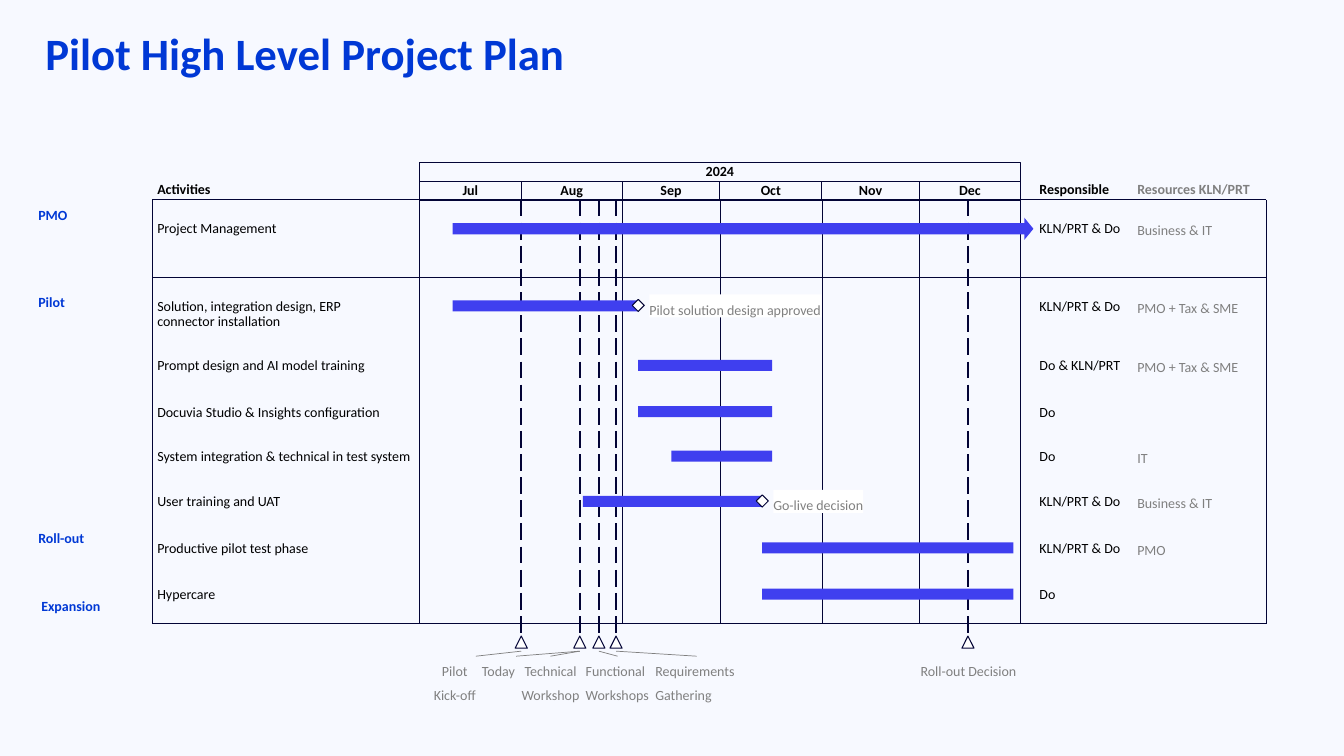
from lxml import etree
from pptx import Presentation
from pptx.dml.color import RGBColor
from pptx.enum.dml import MSO_LINE
from pptx.enum.shapes import MSO_CONNECTOR, MSO_SHAPE
from pptx.enum.text import MSO_ANCHOR, MSO_AUTO_SIZE, PP_ALIGN
from pptx.oxml.ns import qn
from pptx.util import Inches, Pt

RECT, ARROW = MSO_SHAPE.RECTANGLE, MSO_SHAPE.RIGHT_ARROW
DIAMOND, TRIANGLE = MSO_SHAPE.DIAMOND, MSO_SHAPE.ISOSCELES_TRIANGLE
STRAIGHT, DASH = MSO_CONNECTOR.STRAIGHT, MSO_LINE.LONG_DASH
TOP, MIDDLE, BOTTOM = MSO_ANCHOR.TOP, MSO_ANCHOR.MIDDLE, MSO_ANCHOR.BOTTOM
LEFT, CENTER = PP_ALIGN.LEFT, PP_ALIGN.CENTER
FIXED = MSO_AUTO_SIZE.NONE

COLORS = {"back": "F7F9FF", "title": "0038D5", "ink": "030436",
          "bar": "3F3FEF", "text": "000000", "gray": "808080", "white": "FFFFFF"}

MONTHS = ["Jul", "Aug", "Sep", "Oct", "Nov", "Dec"]
EDGES = [4.16, 5.17, 6.17, 7.14, 8.15, 9.12, 10.12]
START, END = 1.51, 12.56
HEAD, FOOT = 1.98, 6.19
COLS = [(1.56, 2.58), (10.31, 0.95), (11.28, 1.25)]
SPLIT = 2.75
MARK = 0.12
BAR = 0.11

ROWS = [
    (2.2, "Project Management", "KLN/PRT & Do", "Business & IT", 4.49, 10.25),
    (2.97, "Solution, integration design, ERP\nconnector installation",
     "KLN/PRT & Do", "PMO + Tax & SME", 4.49, 6.33),
    (3.56, "Prompt design and AI model training", "Do & KLN/PRT",
     "PMO + Tax & SME", 6.33, 7.66),
    (4.02, "Docuvia Studio & Insights configuration", "Do", "", 6.33, 7.66),
    (4.46, "System integration & technical in test system", "Do", "IT", 6.66, 7.66),
    (4.91, "User training and UAT", "KLN/PRT & Do", "Business & IT", 5.78, 7.56),
    (5.37, "Productive pilot test phase", "KLN/PRT & Do", "PMO", 7.56, 10.05),
    (5.83, "Hypercare", "Do", "", 7.56, 10.05),
]
GOALS = [(6.33, 2.97, "Pilot solution design approved", 6.44, 1.71),
         (7.56, 4.91, "Go-live decision", 7.67, 0.89)]
DATES = [5.17, 5.75, 5.94, 6.11, 9.6]
NOTES = [
    ("Pilot\nKick-off", 4.3, 0.42, CENTER, 4.72, 5.17),
    ("Today", 4.78, 0.34, LEFT, 5.12, 5.75),
    ("Technical\nWorkshop", 5.17, 0.58, CENTER, None, 5.75),
    ("Functional\nWorkshops", 5.81, 0.63, LEFT, None, 5.94),
    ("Requirements\nGathering", 6.5, 0.82, LEFT, None, 6.11),
    ("Roll-out Decision", 9.13, 0.95, LEFT, None, None),
]
STAGES = [("PMO", 0.38, 1.98, 0.31), ("Pilot", 0.38, 2.75, 0.5),
          ("Roll-out", 0.38, 5.09, 0.5), ("Expansion", 0.41, 5.76, 0.5)]


class Plan:
    """Draws the parts of a project plan on one slide in a shared style."""

    def __init__(self, deck):
        self.face = "Calibri"
        self.slide = deck.slides.add_slide(deck.slide_layouts[5])
        self.shapes = self.slide.shapes
        self.paint(self.slide.background.fill, "back")

    def paint(self, fill, color):
        fill.solid()
        fill.fore_color.rgb = RGBColor.from_string(COLORS[color])

    def put(self, shape, text, color="text", size=10, bold=False,
            align=LEFT, anchor=TOP, gap=0.9, wrap=False):
        frame = shape.text_frame
        frame.text = text
        frame.auto_size = FIXED
        frame.word_wrap = wrap
        frame.vertical_anchor = anchor
        frame.margin_left = frame.margin_right = 0
        frame.margin_top = frame.margin_bottom = 0
        for para in frame.paragraphs:
            para.alignment = align
            para.line_spacing = gap
            font = para.font
            font.name, font.size, font.bold = self.face, Pt(size), bold
            font.color.rgb = RGBColor.from_string(COLORS[color])

    def title(self, text):
        shape = self.shapes.title
        shape.left, shape.top = Inches(0.45), Inches(0.26)
        shape.width, shape.height = Inches(12.4), Inches(0.59)
        self.put(shape, text, "title", 32, True, gap=1.0, wrap=True)

    def label(self, text, x, y, w, h, **style):
        box = self.shapes.add_textbox(Inches(x), Inches(y), Inches(w), Inches(h))
        self.put(box, text, **style)
        return box

    def shape(self, kind, x, y, w, h, fill=None, line=None):
        item = self.shapes.add_shape(kind, Inches(x), Inches(y), Inches(w), Inches(h))
        item.shadow.inherit = False
        if fill:
            self.paint(item.fill, fill)
        else:
            item.fill.background()
        if line:
            self.paint(item.line.fill, line)
            item.line.width = Pt(0.75)
        else:
            item.line.fill.background()
        return item

    def line(self, x1, y1, x2, y2, width=0.75, color="ink", dash=None, box=None):
        item = self.shapes.add_connector(STRAIGHT, Inches(x1), Inches(y1),
                                         Inches(x2), Inches(y2))
        self.paint(item.line.fill, color)
        item.line.width = Pt(width)
        if dash:
            item.line.dash_style = dash
        etree.SubElement(item._element.spPr, qn("a:effectLst"))
        if box:
            item.begin_connect(box, 0)

    def cell(self, text, x, y, w):
        box = self.shape(RECT, x, y, w, 0.19, line="ink")
        self.put(box, text, bold=True, align=CENTER, anchor=MIDDLE)

    def mark(self, kind, mid, y):
        self.shape(kind, mid - MARK / 2, y, MARK, MARK, "white", "ink")


def main():
    deck = Presentation()
    deck.slide_width, deck.slide_height = Inches(13.33), Inches(7.5)
    plan = Plan(deck)
    plan.title("Pilot High Level Project Plan")

    plan.cell("2024", EDGES[0], 1.61, EDGES[-1] - EDGES[0])
    for month, left, right in zip(MONTHS, EDGES, EDGES[1:]):
        plan.cell(month, left, 1.8, right - left)
    for x in (START, EDGES[0], EDGES[-1], END):
        plan.line(x, HEAD, x, FOOT)
    for x in EDGES[2:-1]:
        plan.line(x, HEAD, x, FOOT, 0.25)
    for y, width in ((HEAD, 0.75), (SPLIT, 0.25), (FOOT, 0.75)):
        plan.line(START, y, END, y, width)
    for x in DATES:
        plan.line(x, HEAD, x, 6.37, 1.5, dash=DASH)
        plan.mark(TRIANGLE, x, 6.31)

    heads = [("Activities", "text", 0.9), ("Responsible", "text", 0.9),
             ("Resources KLN/PRT", "gray", 1.4)]
    for (text, color, gap), (x, w) in zip(heads, COLS):
        plan.label(text, x, 1.73, w, 0.23, color=color, bold=True,
                   anchor=BOTTOM, gap=gap, wrap=True)

    for y, task, owner, team, left, right in ROWS:
        if y < SPLIT:
            arrow = plan.shape(ARROW, left, 2.16, right - left, 2 * BAR, "bar")
            arrow.adjustments[0], arrow.adjustments[1] = 0.5, 0.41
        else:
            plan.shape(RECT, left, y + 0.01, right - left, BAR, "bar")
        cells = [(task, "text", 0.9), (owner, "text", 0.9), (team, "gray", 1.0)]
        for (text, color, gap), (x, w) in zip(cells, COLS):
            if text:
                plan.label(text, x, y, w, 0.3 if "\n" in text else 0.16,
                           color=color, gap=gap, wrap=True)

    for mid, y, text, x, w in GOALS:
        plan.mark(DIAMOND, mid, y)
        box = plan.shape(RECT, x, y - 0.05, w, 0.23, "white")
        plan.put(box, text, "gray", gap=1.4)

    for text, x, w, align, start, date in NOTES:
        box = plan.label(text, x, 6.51, w, 0.47 if "\n" in text else 0.23,
                         color="gray", align=align, gap=1.4)
        if date:
            plan.line(start or x + w / 2, 6.51, date, 6.46, 0.5, "gray",
                      box=None if start else box)

    for text, x, y, h in STAGES:
        plan.label(text, x, y, 1.1, h, color="title", bold=True,
                   anchor=MIDDLE, gap=1.0, wrap=True)

    deck.save("out.pptx")


if __name__ == "__main__":
    main()
